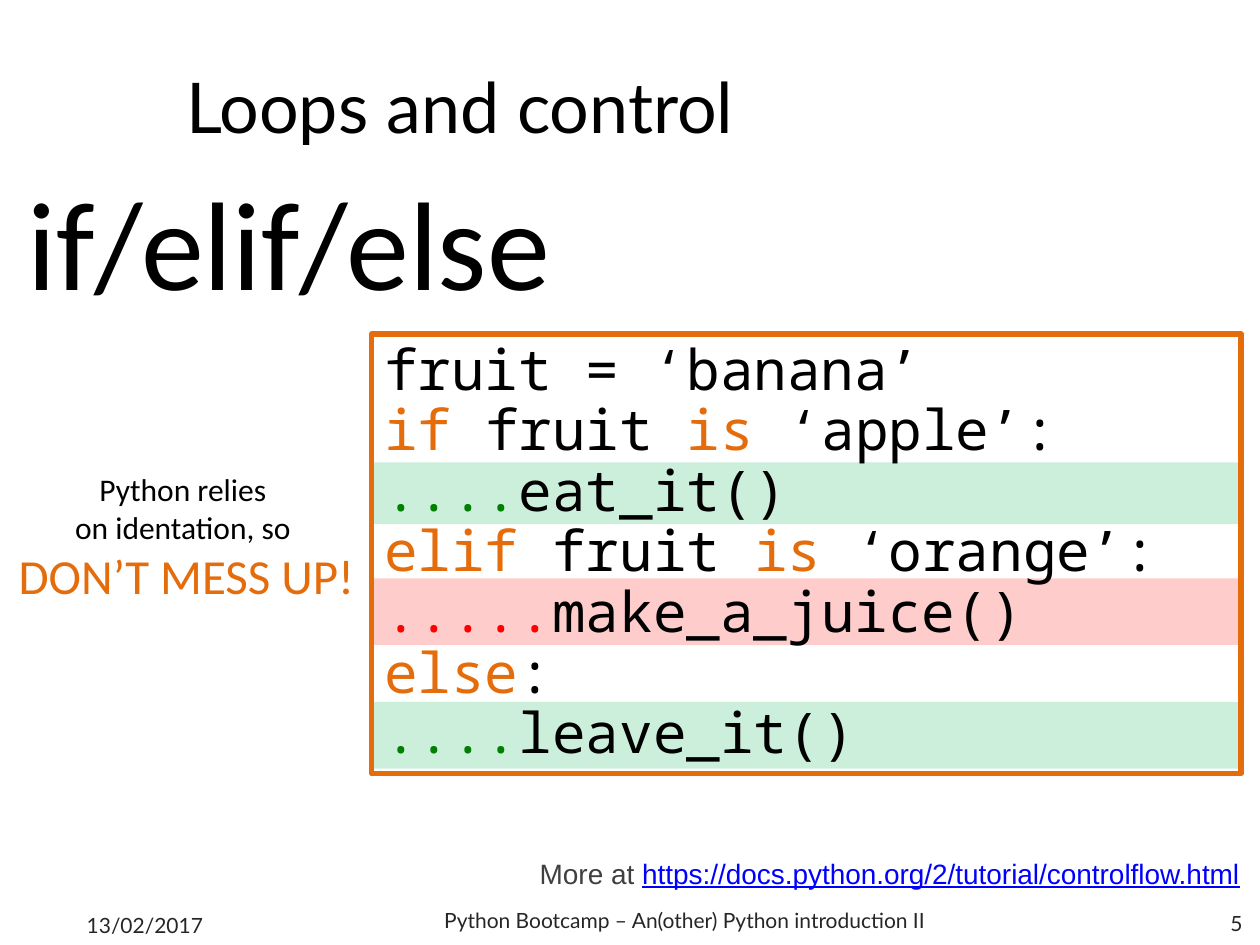
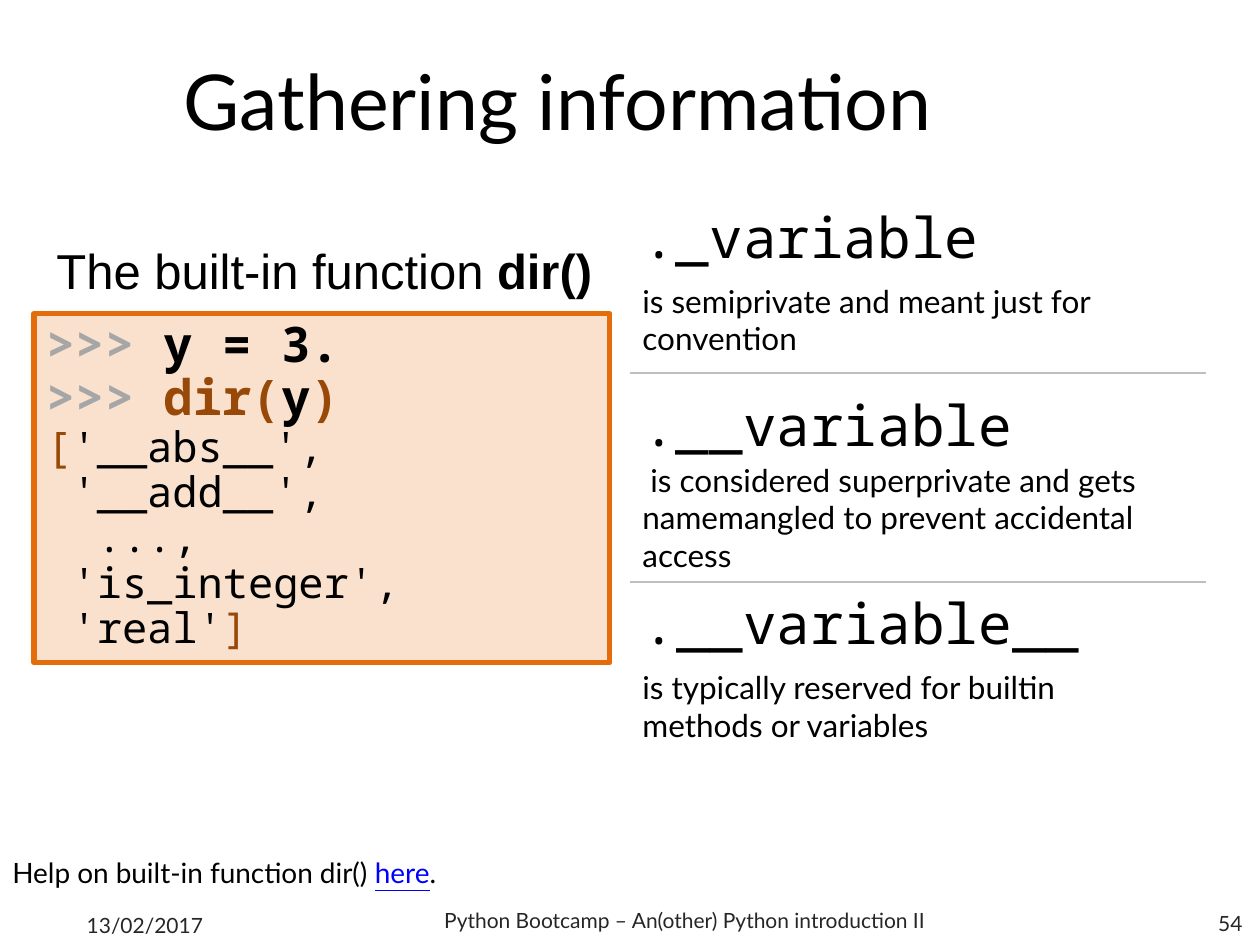
import pptx
import pptx.util
import pptx.dml.color
import pptx.enum.text
import pptx.enum.shapes
import pptx.oxml.ns
from dataclasses import dataclass
from lxml import etree

Inches = pptx.util.Inches
ALIGN = pptx.enum.text.PP_ALIGN
ANCHOR = pptx.enum.text.MSO_ANCHOR
FIT = pptx.enum.text.MSO_AUTO_SIZE
RECT = pptx.enum.shapes.MSO_SHAPE.RECTANGLE
STRAIGHT = pptx.enum.shapes.MSO_CONNECTOR.STRAIGHT


@dataclass(frozen=True)
class Theme:
    # Colours
    ink: str = "000000"
    foot: str = "262626"
    soft: str = "404040"
    accent: str = "E46C0A"
    brown: str = "984807"
    prompt: str = "A6A6A6"
    rule: str = "BFBFBF"
    link: str = "0000FF"
    good: str = "00B050"
    dots: str = "008000"
    bad: str = "FF0000"
    # Fonts
    head: str = "Lato"
    body: str = "Calibri"
    plain: str = "Arial"
    mono: str = "Noto Sans Mono"
    # Type sizes
    giant: int = 72
    title: int = 44
    topic: int = 40
    code: int = 32
    large: int = 28
    output: int = 24
    note: int = 18
    more: int = 16
    small: int = 12


T = Theme()


class Deck:
    def __init__(self):
        self.prs = pptx.Presentation()
        self.prs.slide_width, self.prs.slide_height = Inches(10), Inches(7.5)
        self.slide = None

    def page(self, title, box, size, number, leading=None):
        """Start a slide with its title and footer."""
        self.slide = self.prs.slides.add_slide(self.prs.slide_layouts[6])
        self.text(box, [title], size, anchor=ANCHOR.MIDDLE, leading=leading)
        for words, left, top, width, align in (
                ("13/02/2017", 0.59, 7.14, 2.33, ALIGN.LEFT),
                ("Python Bootcamp – An(other) Python introduction II",
                 3.15, 7.1, 4.57, ALIGN.CENTER),
                (str(number), 7.63, 7.13, 2.33, ALIGN.RIGHT)):
            self.text((left, top, width, 0.4), [words], T.small, color=T.foot,
                      align=align, anchor=ANCHOR.MIDDLE)

    def label(self, shape, lines, size, font=T.head, color=T.ink,
              align=ALIGN.LEFT, anchor=ANCHOR.TOP, wrap=True, grow=False,
              leading=None):
        """Put lines in a shape; a piece is a string or (string, style)."""
        frame = shape.text_frame
        frame.word_wrap = wrap
        frame.vertical_anchor = anchor
        frame.auto_size = FIT.SHAPE_TO_FIT_TEXT if grow else FIT.NONE
        for i, line in enumerate(lines):
            para = frame.add_paragraph() if i else frame.paragraphs[0]
            para.alignment = align
            para.line_spacing = leading
            for piece in [line] if isinstance(line, str) else line:
                words, style = (piece, {}) if isinstance(piece, str) else piece
                run = para.add_run()
                run.text = words
                run.font.name = font
                run.font.size = pptx.util.Pt(style.get("size", size))
                run.font.bold = style.get("bold", False)
                run.font.underline = style.get("under", False)
                run.font.color.rgb = self.rgb(style.get("color", color))

    def text(self, box, lines, size, **style):
        shape = self.slide.shapes.add_textbox(*map(Inches, box))
        self.label(shape, lines, size, **style)

    def rect(self, box, fill=None, line=None):
        """Add a rectangle with a pale tint and an optional outline."""
        shape = self.slide.shapes.add_shape(RECT, *map(Inches, box))
        shape.shadow.inherit = False
        if fill:
            shape.fill.solid()
            shape.fill.fore_color.rgb = self.rgb(fill)
            tint = shape._element.spPr.find(".//" + pptx.oxml.ns.qn("a:srgbClr"))
            etree.SubElement(tint, pptx.oxml.ns.qn("a:alpha"), val="20000")
        else:
            shape.fill.background()
        if line:
            shape.line.color.rgb = self.rgb(line)
            shape.line.width = pptx.util.Pt(3)
        else:
            shape.line.fill.background()
        return shape

    def code(self, box, lines, size, fill=None, anchor=ANCHOR.TOP):
        shape = self.rect(box, fill, T.accent)
        self.label(shape, lines, size, font=T.mono, anchor=anchor,
                   grow=True, leading=0.9)

    def rule(self, left, right, top):
        line = self.slide.shapes.add_connector(
            STRAIGHT, Inches(left), Inches(top), Inches(right), Inches(top))
        line.line.color.rgb = self.rgb(T.rule)
        line.line.width = pptx.util.Pt(0.75)
        etree.SubElement(line._element.spPr, pptx.oxml.ns.qn("a:effectLst"))

    @staticmethod
    def rgb(code):
        return pptx.dml.color.RGBColor.from_string(code)


def hue(words, color, **style):
    return words, dict(style, color=color)


def key(words):
    return hue(words, T.accent)


def link(words):
    return hue(words, T.link, under=True)


deck = Deck()

# Slide 1: branching
deck.page("Loops and control", (1.38, 0.44, 8.12, 0.79), T.topic, 5)
deck.text((0.12, 1.39, 4.64, 1.19), ["if/elif/else"], T.giant, font=T.body,
          anchor=ANCHOR.MIDDLE, grow=True, leading=0.9)
deck.text((0.03, 3.68, 2.9, 1.18),
          ["Python relies ", "on identation, so ",
           [hue("DON’T MESS UP!", T.accent, size=T.large)]],
          T.note, font=T.body, align=ALIGN.CENTER, wrap=False, grow=True)

# Tinted bands behind the indented lines
for top, high, color in ((3.67, 0.49, T.good), (4.59, 0.53, T.bad),
                         (5.57, 0.53, T.good)):
    deck.rect((2.95, top, 6.9, high), color)
deck.code((2.95, 2.65, 6.9, 3.49), [
    "fruit = ‘banana’",
    [key("if "), "fruit ", key("is "), "‘apple’:"],
    [hue("....", T.dots), "eat_it()"],
    [key("elif "), "fruit ", key("is "), "‘orange’:"],
    [hue(".....", T.bad), "make_a_juice()"],
    [key("else"), ":"],
    [hue("....", T.dots), "leave_it()"],
], T.code, anchor=ANCHOR.MIDDLE)
deck.text((0, 6.74, 10, 0.37),
          [["More at ",
            link("https://docs.python.org/2/tutorial/controlflow.html"), " "]],
          T.more, font=T.plain, color=T.soft, align=ALIGN.RIGHT,
          anchor=ANCHOR.BOTTOM, grow=True)

# Slide 2: dir() and underscore names
deck.page("Gathering information", (1.36, 0.11, 11.5, 1.45), T.title, 54,
          leading=0.9)
deck.text((0.35, 1.86, 6.67, 0.57),
          [["The built-in function ", ("dir()", {"bold": True})]],
          T.large, font=T.plain, grow=True)
big = {"size": T.large, "bold": True}
mark = hue(">>> ", T.prompt, **big)
deck.code((0.27, 2.49, 4.57, 2.77), [
    [mark, ("y = 3.", big)],
    [mark, hue("dir(", T.brown, **big), ("y", big), hue(")", T.brown, **big)],
    [hue("[", T.brown), "'__abs__', "],
    " '__add__', ",
    "  ..., ",
    " 'is_integer',",
    [" 'real'", hue("]", T.brown)],
], T.output, fill=T.accent)

# Name styles: heading and meaning
for name, top, wide, words, below, high in (
        ("._variable", 1.55, 2.9,
         "is semiprivate and meant just for convention", 2.18, 0.71),
        (".__variable", 3.04, 3.17,
         " is considered superprivate and gets namemangled to prevent "
         "accidental access", 3.6, 1.01),
        (".__variable__", 4.61, 3.71,
         "is typically reserved for builtin methods or variables",
         5.25, 0.71)):
    deck.text((5, top, wide, 0.64), [name], T.code, font=T.mono,
              anchor=ANCHOR.BOTTOM, wrap=False, grow=True)
    deck.text((5, below, 4.41, high), [words], T.note,
              anchor=ANCHOR.MIDDLE, grow=True)
for top in (2.96, 4.62):
    deck.rule(5, 9.57, top)
deck.text((0, 6.74, 5, 0.37),
          [["Help on built-in function dir() ", link("here"), "."]],
          T.more, grow=True)

deck.prs.save("out.pptx")
